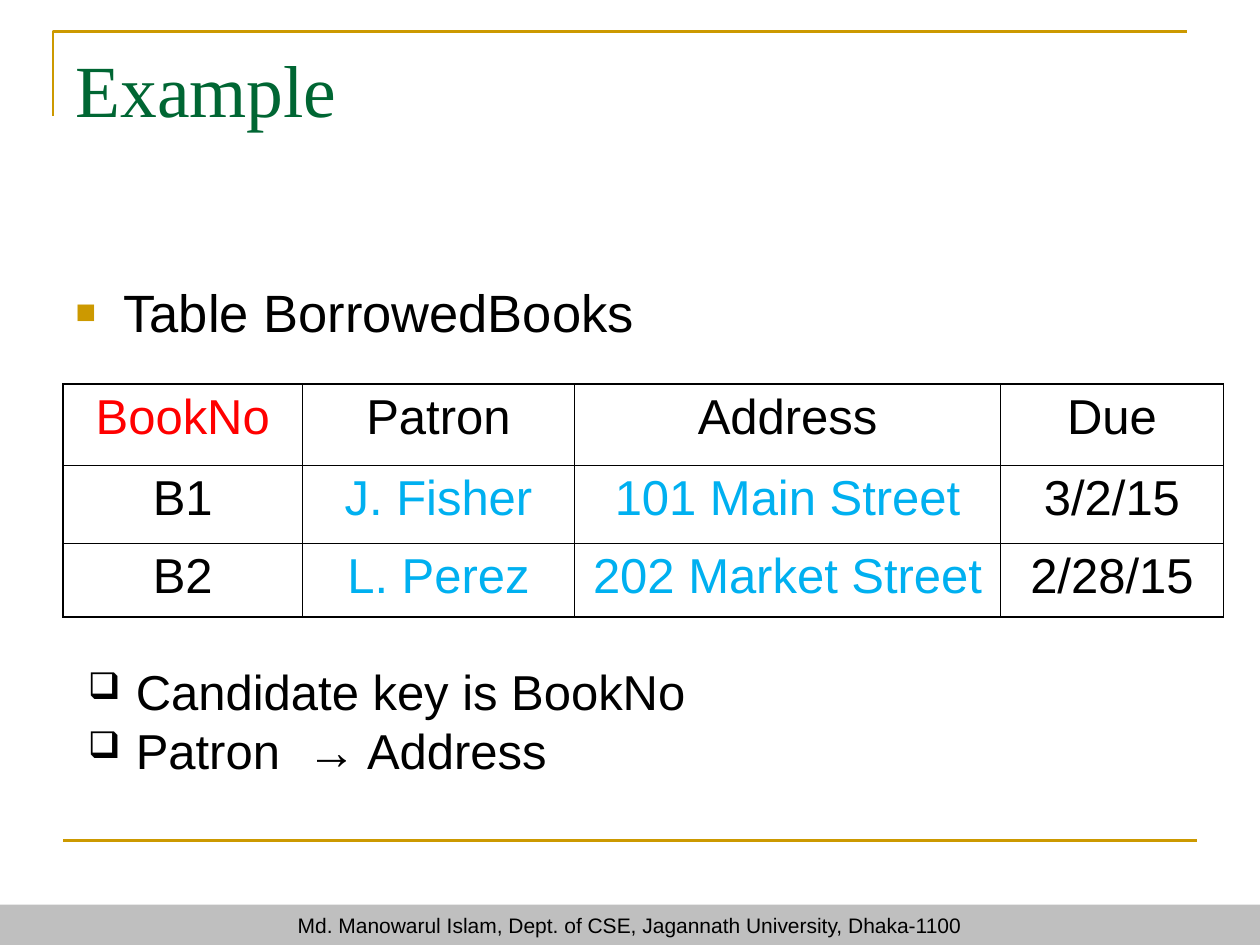
from dataclasses import dataclass

import pptx
import pptx.dml.color
import pptx.enum.shapes
import pptx.enum.text
import pptx.oxml
import pptx.oxml.ns
import pptx.util
from lxml import etree

Inches = pptx.util.Inches
Pt = pptx.util.Pt
ALIGN = pptx.enum.text.PP_ALIGN
ANCHOR = pptx.enum.text.MSO_ANCHOR
qn = pptx.oxml.ns.qn


@dataclass(frozen=True)
class Theme:
    gold: str = "CC9900"
    green: str = "006633"
    black: str = "000000"
    red: str = "FF0000"
    blue: str = "00B0F0"
    gray: str = "BFBFBF"
    sans: str = "Arial"
    serif: str = "Times New Roman"
    title: int = 42
    body: int = 30
    text: int = 28
    footer: int = 12
    rule: float = 1.5
    outer: float = 1.08
    inner: float = 0.45


@dataclass(frozen=True)
class Bullet:
    char: str
    color: str
    percent: int


T = Theme()
SQUARE = Bullet("■", T.gold, 65)
BOX = Bullet("❑", T.black, 75)

COLUMNS = [1.9, 2.16, 3.38, 1.77]
ROWS = [0.64, 0.62, 0.59]
BORROWED_BOOKS = [
    ["BookNo", "Patron", "Address", "Due"],
    ["B1", "J. Fisher", "101 Main Street", "3/2/15"],
    ["B2", "L. Perez", "202 Market Street", "2/28/15"],
]


def rgb(color: str):
    return pptx.dml.color.RGBColor.from_string(color)


def add_run(p, text: str, size: int, color: str = T.black, font: str = T.sans) -> None:
    r = p.add_run()
    r.text = text
    r.font.size = Pt(size)
    r.font.name = font
    r.font.color.rgb = rgb(color)


def place(s, left: float, top: float, width: float, height: float) -> None:
    s.left, s.top = Inches(left), Inches(top)
    s.width, s.height = Inches(width), Inches(height)


def add_list(tf, items: list[str], bullet: Bullet, size: int) -> None:
    tf.word_wrap = True
    tf.auto_size = pptx.enum.text.MSO_AUTO_SIZE.NONE
    for i, item in enumerate(items):
        p = tf.add_paragraph() if i else tf.paragraphs[0]
        pPr = p._p.get_or_add_pPr()
        pPr.set("marL", str(Inches(0.38)))
        pPr.set("indent", str(-Inches(0.38)))
        color = etree.SubElement(pPr, qn("a:buClr"))
        etree.SubElement(color, qn("a:srgbClr"), val=bullet.color)
        etree.SubElement(pPr, qn("a:buSzPct"), val=str(bullet.percent * 1000))
        etree.SubElement(pPr, qn("a:buChar"), char=bullet.char)
        p.space_before = Pt(0)
        add_run(p, item, size)


def add_frame(s) -> None:
    builder = s.shapes.build_freeform(Inches(0.42), Inches(0.92), scale=1.0)
    corner = [(Inches(0.42), Inches(0.25)), (Inches(9.42), Inches(0.25))]
    builder.add_line_segments(corner, close=False)
    sp = builder.convert_to_shape()
    sp.shadow.inherit = False
    sp.fill.background()
    rule = s.shapes.add_connector(
        pptx.enum.shapes.MSO_CONNECTOR.STRAIGHT,
        Inches(0.5), Inches(6.67), Inches(9.5), Inches(6.67),
    )
    etree.SubElement(rule._element.spPr, qn("a:effectLst"))
    for line in (sp.line, rule.line):
        line.color.rgb = rgb(T.gold)
        line.width = Pt(T.rule)


def add_footer(s, text: str) -> None:
    sp = s.shapes.add_shape(
        pptx.enum.shapes.MSO_SHAPE.RECTANGLE,
        Inches(0), Inches(7.18), Inches(10), Inches(0.33),
    )
    sp.shadow.inherit = False
    sp.fill.solid()
    sp.fill.fore_color.rgb = rgb(T.gray)
    sp.line.fill.background()
    tf = sp.text_frame
    tf.word_wrap = True
    tf.vertical_anchor = ANCHOR.MIDDLE
    p = tf.paragraphs[0]
    p.alignment = ALIGN.CENTER
    add_run(p, text, T.footer)


def set_borders(cell, outer_sides: dict[str, bool]) -> None:
    tcPr = cell._tc.get_or_add_tcPr()
    for i, (side, is_outer) in enumerate(outer_sides.items()):
        width = Pt(T.outer if is_outer else T.inner)
        ln = etree.Element(qn(f"a:{side}"), w=str(width))
        fill = etree.SubElement(ln, qn("a:solidFill"))
        etree.SubElement(fill, qn("a:srgbClr"), val=T.black)
        tcPr.insert(i, ln)


def cell_color(row: int, col: int) -> str:
    if row == 0:
        return T.red if col == 0 else T.black
    return T.blue if col in (1, 2) else T.black


def add_books_table(s) -> None:
    frame = s.shapes.add_table(
        len(ROWS), len(COLUMNS),
        Inches(0.5), Inches(3.05), Inches(sum(COLUMNS)), Inches(sum(ROWS)),
    )
    table = frame.table
    table.first_row = table.horz_banding = False
    for column, width in zip(table.columns, COLUMNS):
        column.width = Inches(width)
    for row, height in zip(table.rows, ROWS):
        row.height = Inches(height)
    for i, values in enumerate(BORROWED_BOOKS):
        for j, value in enumerate(values):
            cell = table.cell(i, j)
            cell.fill.background()
            set_borders(cell, {
                "lnL": j == 0,
                "lnR": j == len(COLUMNS) - 1,
                "lnT": i == 0,
                "lnB": i == len(ROWS) - 1,
            })
            p = cell.text_frame.paragraphs[0]
            p.alignment = ALIGN.CENTER
            add_run(p, value, T.text, cell_color(i, j))


def main() -> None:
    prs = pptx.Presentation()
    prs.slide_width, prs.slide_height = Inches(10), Inches(7.5)
    s = prs.slides.add_slide(prs.slide_layouts[1])
    add_frame(s)
    add_footer(s, "Md. Manowarul Islam, Dept. of CSE, Jagannath University, Dhaka-1100")

    title = s.shapes.title
    place(title, 0.5, 0.3, 9, 1.25)
    tf = title.text_frame
    tf.auto_size = pptx.enum.text.MSO_AUTO_SIZE.NONE
    tf.vertical_anchor = ANCHOR.TOP
    p = tf.paragraphs[0]
    p.alignment = ALIGN.LEFT
    add_run(p, "Example", T.title, T.green, T.serif)

    body = s.placeholders[1]
    place(body, 0.5, 2.17, 9.21, 4.25)
    add_list(body.text_frame, ["Table BorrowedBooks"], SQUARE, T.body)

    add_books_table(s)
    keys = s.shapes.add_textbox(Inches(0.6), Inches(5.2), Inches(7.9), Inches(1.04))
    add_list(keys.text_frame, ["Candidate key is BookNo", "Patron  → Address"], BOX, T.text)
    prs.save("out.pptx")


if __name__ == "__main__":
    main()
